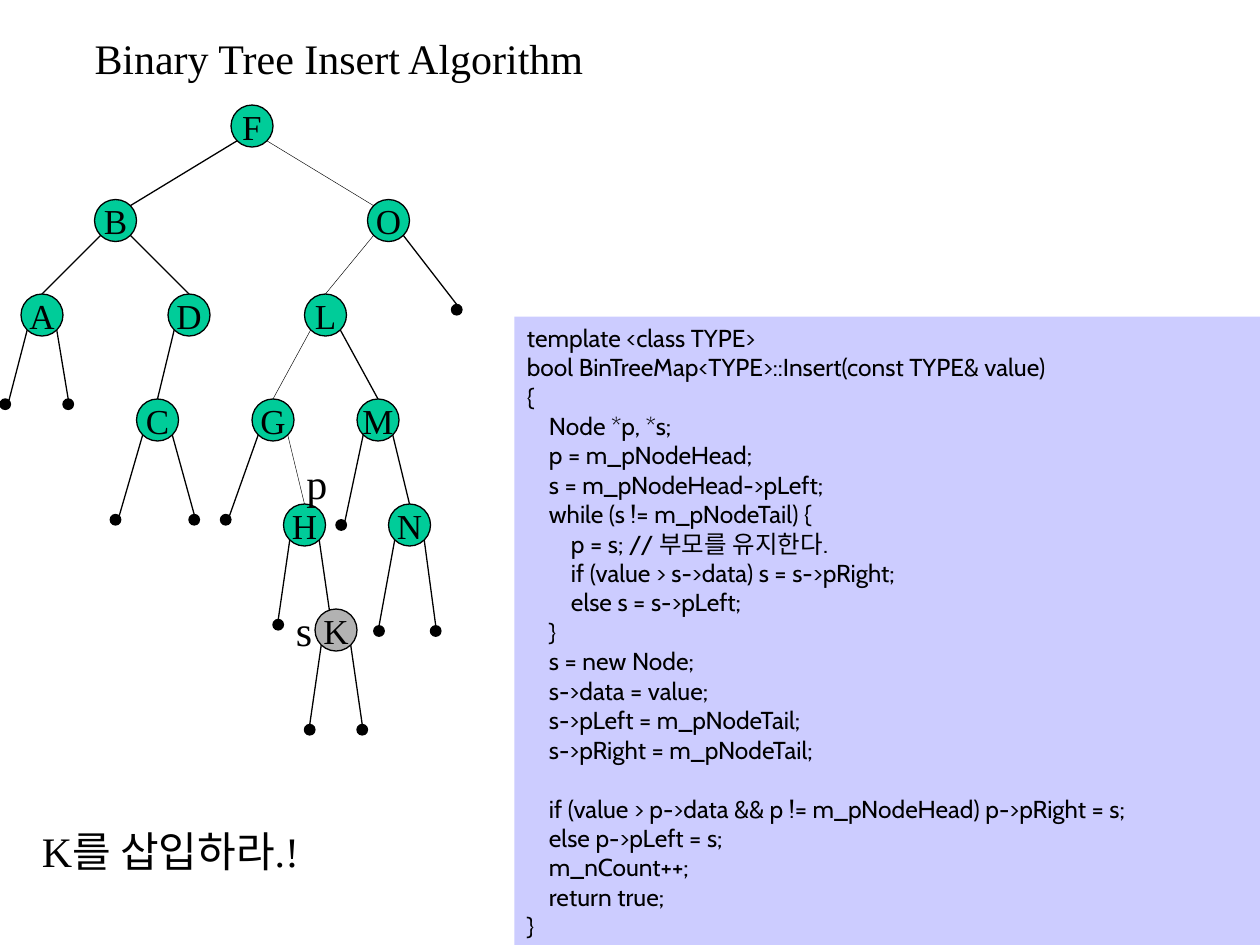
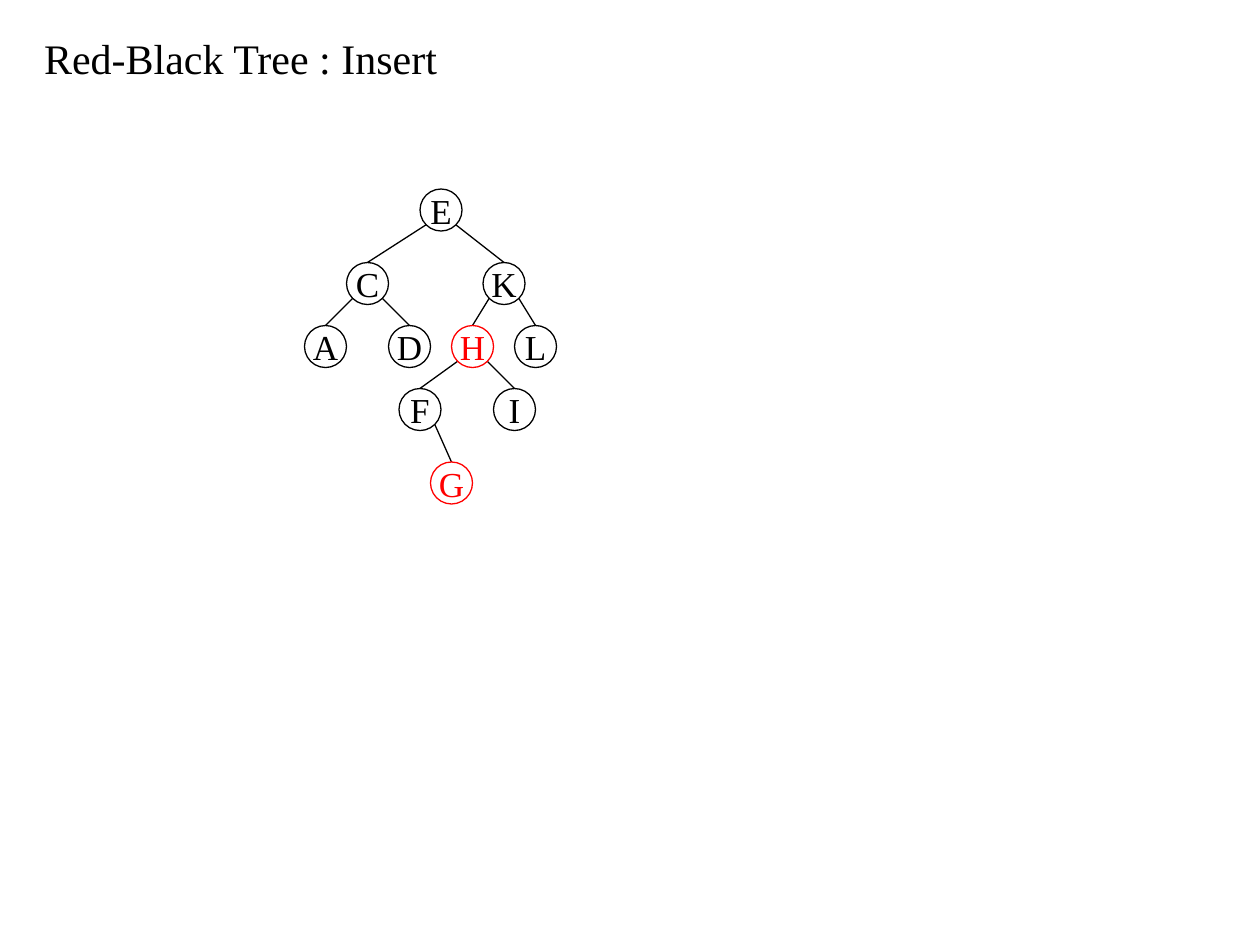
from lxml.etree import SubElement
from pptx import Presentation
from pptx.dml.color import RGBColor
from pptx.enum.shapes import MSO_CONNECTOR, MSO_SHAPE
from pptx.enum.text import MSO_ANCHOR, MSO_AUTO_SIZE, PP_ALIGN
from pptx.oxml.ns import qn
from pptx.util import Inches, Pt

COLORS = {"ink": "000000", "node": "00CC99", "new": "B2B2B2",
          "code": "CCCCFF", "red": "FF0000"}
SERIF, SANS = "Times New Roman", "Cabin"
NODE, DOT = 4, 1          # diameters in grid units
DIAGONAL = 0.35           # 45 degree point of a circle, as a share of its diameter
LINE, THIN = 0.74, 0.26   # points


def grid(n):
    """Length of n grid units; the slide is 120 columns by 90 rows."""
    return Inches(n / 12)


def rgb(name):
    """Colour object of a palette entry."""
    return RGBColor.from_string(COLORS[name])


def write(tf, text, size=24, font=SERIF, color="ink", align=PP_ALIGN.LEFT,
          anchor=MSO_ANCHOR.TOP, wrap=False):
    """Fill a text frame with one formatted paragraph per line."""
    tf.word_wrap, tf.vertical_anchor = wrap, anchor
    tf.auto_size = MSO_AUTO_SIZE.NONE
    for i, line in enumerate(text.split("\n")):
        p = tf.paragraphs[0] if i == 0 else tf.add_paragraph()
        p.alignment = align
        r = p.add_run()
        r.text = line
        r.font.size, r.font.name = Pt(size), font
        r.font.color.rgb = rgb(color)


def add_title(s, text, left):
    """Put the slide title in its placeholder, starting at a grid column."""
    sp = s.shapes.title
    sp.left, sp.top, sp.width, sp.height = map(grid, (left, 2.5, 50, 6))
    write(sp.text_frame, text)


def add_label(s, text, box):
    """Add a free label."""
    write(s.shapes.add_textbox(*map(grid, box)).text_frame, text)


def add_shape(s, kind, box, fill=None, line=None):
    """Add a flat preset shape with palette colours."""
    sp = s.shapes.add_shape(kind, *map(grid, box))
    sp.shadow.inherit = False
    if fill:
        sp.fill.solid()
        sp.fill.fore_color.rgb = rgb(fill)
    else:
        sp.fill.background()
    if line:
        sp.line.color.rgb, sp.line.width = rgb(line), Pt(LINE)
    else:
        sp.line.fill.background()
    return sp


def add_line(s, start, end, width):
    """Add a straight line between two grid points."""
    c = s.shapes.add_connector(MSO_CONNECTOR.STRAIGHT, *map(grid, start + end))
    c.line.color.rgb, c.line.width = rgb("ink"), Pt(width)
    SubElement(c._element.spPr, qn("a:effectLst"))


def add_tree(s, box, nodes, links, fill=None, fills=None, reds="",
             thin=(), corners=(), shifts=None):
    """Draw a tree; nodes map to a column and row in the box.

    One-letter names are labelled nodes, two-letter names are end dots.
    Links are (parent, child) pairs. Those in corners land on the side of
    the child, the others on its top; shifts move a landing point.
    """
    left, top = box[:2]
    size = {name: NODE if len(name) == 1 else DOT for name in nodes}
    center = {name: (left + x + size[name] / 2, top + y + size[name] / 2)
              for name, (x, y) in nodes.items()}
    for link in links:
        parent, child = link
        (px, py), (cx, cy) = center[parent], center[child]
        side = 1 if cx > px else -1
        reach, drop = NODE * DIAGONAL, size[child] / 2
        start = (px + side * reach, py + reach)
        if link in corners:
            drop = size[child] * DIAGONAL
            cx -= side * drop
        dx, dy = (shifts or {}).get(link, (0, 0))
        add_line(s, start, (cx + dx, cy - drop + dy), THIN if link in thin else LINE)
    for name, (x, y) in nodes.items():
        spot = (left + x, top + y, size[name], size[name])
        if size[name] == DOT:
            add_shape(s, MSO_SHAPE.OVAL, spot, "ink", "ink")
            continue
        color = "red" if name in reds else "ink"
        sp = add_shape(s, MSO_SHAPE.OVAL, spot, (fills or {}).get(name, fill), color)
        write(sp.text_frame, name, size=20, color=color,
              align=PP_ALIGN.CENTER, anchor=MSO_ANCHOR.MIDDLE)


def add_code(s, box, code):
    """Draw a code panel; leading tabs become indents, empty lines spacing."""
    sp = add_shape(s, MSO_SHAPE.RECTANGLE, box, "code")
    lines = code.split("\n")
    shown = [line for line in lines if line]
    write(sp.text_frame, "\n".join(line.strip() for line in shown),
          size=14, font=SANS, wrap=True)
    after_gap = {b for a, b in zip(lines, lines[1:]) if not a}
    for p, line in zip(sp.text_frame.paragraphs, shown):
        depth = len(line) - len(line.lstrip("\t"))
        pPr = p._p.get_or_add_pPr()
        pPr.set("marL", str(Inches(0.175 * depth)))
        pPr.set("indent", "0")
        if line in after_gap:
            p.space_before = Pt(16.9)


CODE = """template <class TYPE>
bool BinTreeMap<TYPE>::Insert(const TYPE& value)
{
\tNode *p, *s;
\tp = m_pNodeHead;
\ts = m_pNodeHead->pLeft;
\twhile (s != m_pNodeTail) {
\t\tp = s; // 부모를 유지한다.
\t\tif (value > s->data) s = s->pRight;
\t\telse s = s->pLeft;
\t}
\ts = new Node;
\ts->data = value;
\ts->pLeft = m_pNodeTail;
\ts->pRight = m_pNodeTail;

\tif (value > p->data && p != m_pNodeHead) p->pRight = s;
\telse p->pLeft = s;
\tm_nCount++;
\treturn true;
}"""

BINARY_NODES = {
    "F": (22, 0), "B": (9, 9), "O": (35, 9), "A": (2, 18), "D": (16, 18),
    "L": (29, 18), "C": (13, 28), "G": (24, 28), "M": (34, 28),
    "H": (27, 38), "N": (37, 38), "K": (30, 48)}
BINARY_DOTS = {  # parent and side
    "A<": (0, 28), "A>": (6, 28), "O>": (43, 19), "C<": (10.5, 39),
    "C>": (18, 39), "G<": (21, 39), "M<": (32, 39.5), "H<": (26, 49),
    "N<": (35.6, 49.6), "N>": (41, 49.6), "K<": (29, 59), "K>": (34, 59)}
BINARY_LINKS = [tuple(pair) for pair in
                "FB FO BA BD OL DC LG LM GH MN HK".split()]
BINARY_LINKS += [(dot[0], dot) for dot in BINARY_DOTS]

RED_BLACK_NODES = {
    "E": (11, 0), "C": (4, 7), "K": (17, 7), "A": (0, 13), "D": (8, 13),
    "H": (14, 13), "L": (20, 13), "F": (9, 19), "I": (18, 19), "G": (12, 26)}
RED_BLACK_LINKS = [tuple(pair) for pair in "EC EK CA CD KH KL HF HI FG".split()]


def binary_slide(s):
    """Binary tree insert: tree on the left, code on the right."""
    add_title(s, "Binary Tree Insert Algorithm", 7.8)
    add_tree(s, (0, 10, 44, 60), {**BINARY_NODES, **BINARY_DOTS}, BINARY_LINKS,
             fill="node", fills={"K": "new"},
             thin=[tuple(pair) for pair in "FO OL LG GH".split()],
             corners=[("F", "B"), ("F", "O")] + [(n, n + "<") for n in "ACGM"],
             shifts={("H", "K"): (-0.5, 1)})
    add_code(s, (49, 30.15, 71, 60), CODE)
    add_label(s, "K를 삽입하라.!", (2.8, 78, 29, 6))
    add_label(s, "s", (27, 57, 4, 6))
    add_label(s, "p", (28, 43, 4, 6))


def red_black_slide(s):
    """Red-black tree insert: tree with its red nodes."""
    add_title(s, "Red-Black Tree : Insert", 3)
    add_tree(s, (29, 18, 24, 30), RED_BLACK_NODES, RED_BLACK_LINKS, reds="HG")


prs = Presentation()
prs.slide_width, prs.slide_height = Inches(10), Inches(7.5)
for build in (binary_slide, red_black_slide):
    build(prs.slides.add_slide(prs.slide_layouts[5]))
prs.save("out.pptx")
